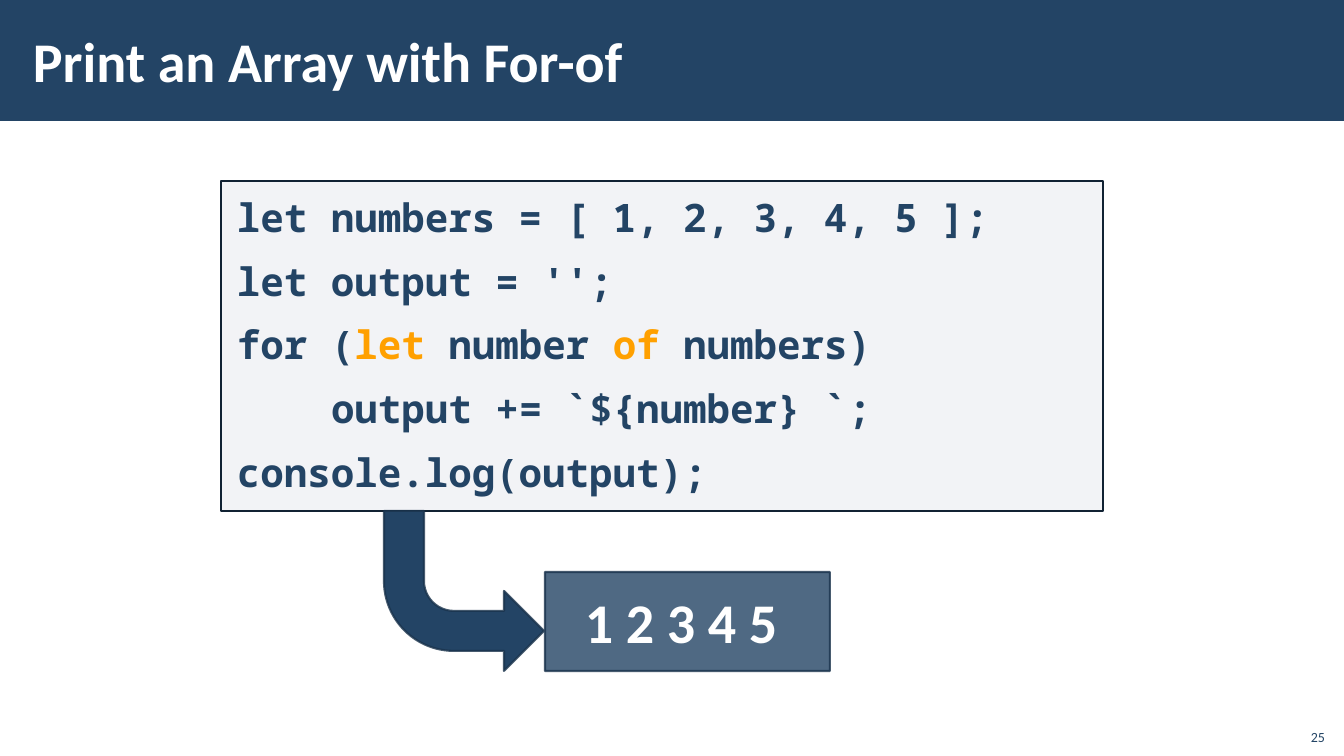
from dataclasses import dataclass

from lxml import etree
from pptx import Presentation
from pptx import util as u
from pptx.dml.color import RGBColor
from pptx.enum import shapes, text
from pptx.oxml.ns import qn

SCALE = 9071.43  # EMU per pixel
KIND = shapes.MSO_SHAPE
ALIGN = text.PP_ALIGN
ANCHOR = text.MSO_ANCHOR


def px(n):
    """Turn pixels into EMU."""
    return u.Emu(round(n * SCALE))


@dataclass(frozen=True)
class Theme:
    """Colours, fonts and type sizes."""
    navy: str = "234465"
    edge: str = "1A334C"
    ink: str = "112233"
    mist: str = "ADB4C3"
    amber: str = "FFA000"
    white: str = "FFFFFF"
    sans: str = "Calibri"
    mono: str = "Noto Sans Mono"
    big: int = 40
    mid: int = 28
    small: int = 10


class Deck:
    """Style and current slide."""

    def __init__(self, theme):
        """Open a deck with one blank slide."""
        self.theme = theme
        self.prs = Presentation()
        self.prs.slide_width, self.prs.slide_height = px(1344), px(756)
        self.slide = self.prs.slides.add_slide(self.prs.slide_layouts[6])

    def paint(self, fill, color, alpha=100):
        """Set a solid fill, partly clear if alpha is below 100."""
        fill.solid()
        fill.fore_color.rgb = RGBColor.from_string(color)
        if alpha < 100:
            tint = fill._xPr.find(f".//{qn('a:srgbClr')}")
            etree.SubElement(tint, qn("a:alpha")).set("val", str(alpha * 1000))

    def shape(self, kind, box, fill, alpha=100, line=None, width=1.5, clear=80):
        """Add a preset shape."""
        item = self.slide.shapes.add_shape(kind, *map(px, box))
        item.shadow.inherit = False
        self.paint(item.fill, fill, alpha)
        if line:
            item.line.width = u.Pt(width)
            self.paint(item.line.fill, line, clear)
        else:
            item.line.fill.background()
        return item

    def label(self, box):
        """Add an empty text box."""
        return self.slide.shapes.add_textbox(*map(px, box))

    def words(self, item, lines, size, color, face, bold=True, align=ALIGN.LEFT,
              anchor=ANCHOR.MIDDLE, pad=(10, 5), gap=0):
        """Fill a shape with lines, each an indent and (words, colour) runs."""
        frame = item.text_frame
        side, top = map(px, pad)
        style = {"word_wrap": True, "vertical_anchor": anchor,
                 "margin_left": side, "margin_right": side,
                 "margin_top": top, "margin_bottom": top}
        for key, val in style.items():
            setattr(frame, key, val)
        for i, (dent, runs) in enumerate(lines):
            para = frame.add_paragraph() if i else frame.paragraphs[0]
            style = {"alignment": align, "space_before": u.Pt(gap),
                     "space_after": u.Pt(gap)}
            for key, val in style.items():
                setattr(para, key, val)
            if dent:
                para._p.get_or_add_pPr().set("marL", str(px(dent)))
            for part, tone in runs:
                run = para.add_run()
                run.text = part
                style = {"size": u.Pt(size), "bold": bold, "name": face}
                for key, val in style.items():
                    setattr(run.font, key, val)
                run.font.color.rgb = RGBColor.from_string(tone or color)


def main():
    """Build the slide and save it."""
    t = Theme()
    deck = Deck(t)

    deck.shape(KIND.RECTANGLE, (0, 0, 1344, 121), t.navy)
    title = deck.label((21, 11, 1072, 98))
    deck.words(title, [(0, [("Print an Array with For-of", None)])],
               t.big, t.white, t.sans, pad=(12, 4))

    code = [
        (0, [("let numbers = [ 1, 2, 3, 4, 5 ];", None)]),
        (0, [("let output = '';", None)]),
        (0, [("for (", None), ("let ", t.amber), ("number ", None),
             ("of ", t.amber), ("numbers)", None)]),
        (94, [("output += `${number} `;", None)]),
        (0, [("console.log(output);", None)]),
    ]
    panel = deck.shape(KIND.RECTANGLE, (221, 181, 882, 330), t.mist, 15,
                       t.ink, 1, 100)
    deck.words(panel, code, t.mid, t.navy, t.mono, anchor=ANCHOR.TOP,
               pad=(16, 12), gap=6)

    arrow = deck.shape(KIND.BENT_ARROW, (384, 511, 160, 160), t.navy,
                       line=t.edge)
    arrow._element.spPr.find(qn("a:xfrm")).set("flipV", "1")

    result = deck.shape(KIND.RECTANGLE, (545, 572, 285, 99), t.navy, 80, t.edge)
    deck.words(result, [(0, [("1 2 3 4 5 ", None)])], t.big, t.white, t.sans,
               align=ALIGN.CENTER)

    page = deck.label((1295, 718, 40, 32))
    deck.words(page, [(0, [("25", None)])], t.small, t.navy, t.sans,
               bold=False, align=ALIGN.RIGHT, anchor=ANCHOR.BOTTOM)

    deck.prs.save("out.pptx")


main()
